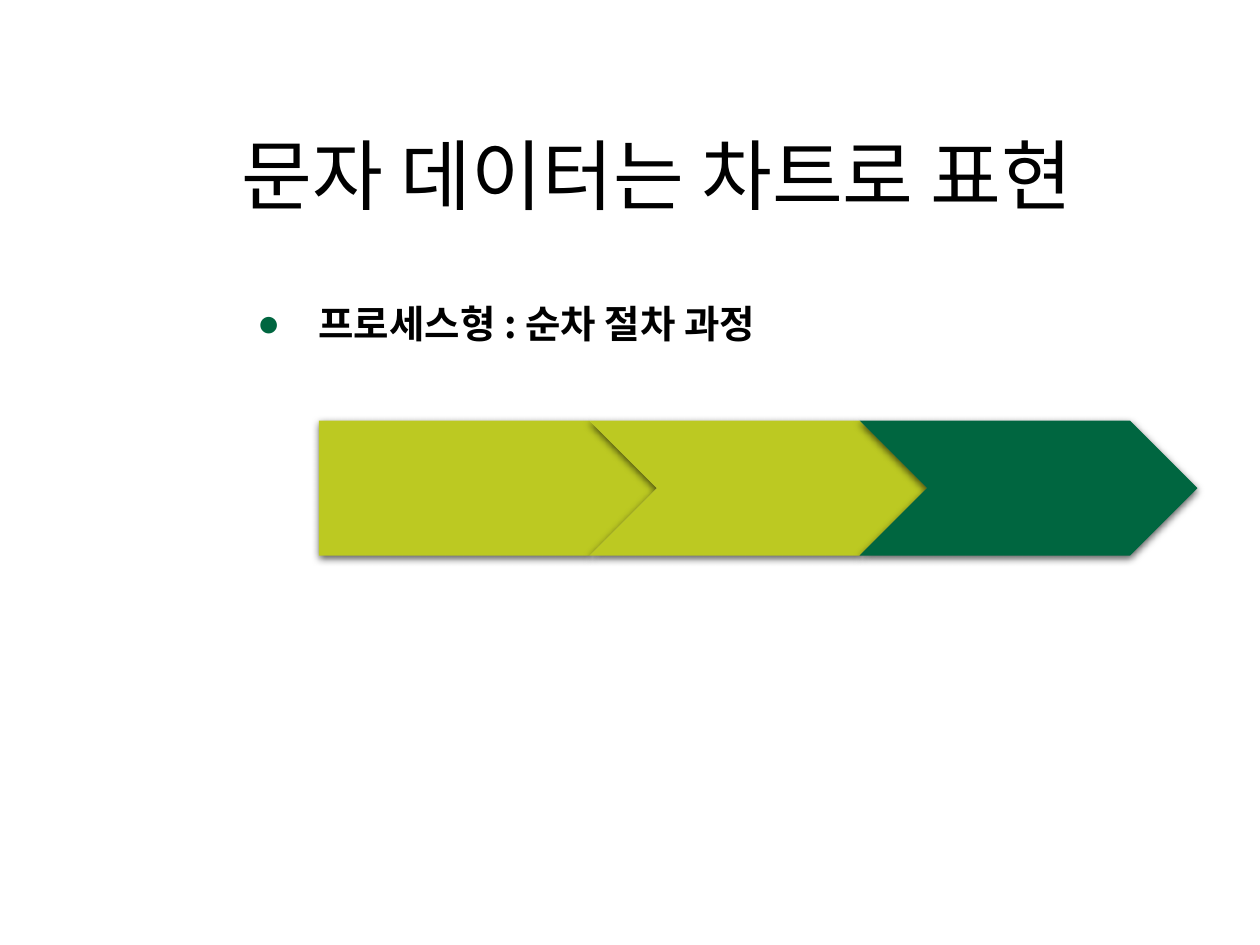
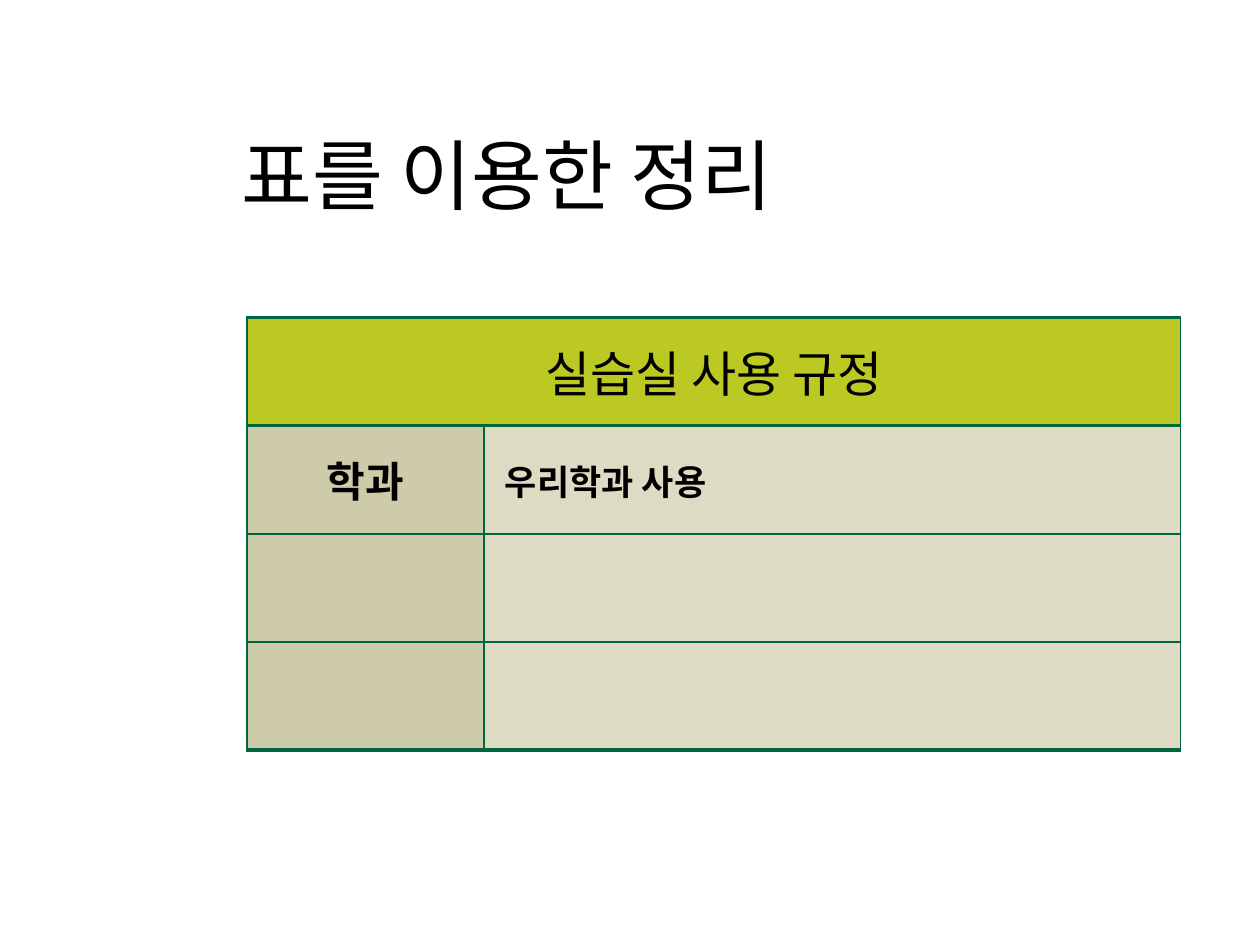
import dataclasses
import typing

import lxml.etree
import pptx
import pptx.dml.color
import pptx.enum.shapes
import pptx.enum.text
import pptx.oxml
import pptx.oxml.ns
import pptx.util

Cm = pptx.util.Cm
Pt = pptx.util.Pt
ALIGN = pptx.enum.text.PP_ALIGN
ANCHOR = pptx.enum.text.MSO_ANCHOR
SHAPE = pptx.enum.shapes.MSO_SHAPE
qn = pptx.oxml.ns.qn

COLORS = {
    "text": "000000",
    "lime": "BCC922",
    "green": "006640",
    "label": "CECBAA",
    "entry": "DDDBC4",
}
FONT = "Noto Sans CJK KR"
TITLE_AREA = {"left": Cm(4.62), "top": Cm(0.91), "width": Cm(19.91), "height": Cm(3.68)}
BODY_AREA = {"left": Cm(4.93), "top": Cm(5.46), "width": Cm(19.91), "height": Cm(12.09)}
TITLE_LAYOUT, LIST_LAYOUT = 5, 1
THIN, THICK = 1, 2.25


@dataclasses.dataclass(frozen=True)
class Step:
    outline: SHAPE
    color: str


@dataclasses.dataclass(frozen=True)
class Entry:
    text: str
    color: str
    size: float = 18
    bold: bool = False
    align: ALIGN = ALIGN.LEFT
    indent: float = 0.25


STEPS = [
    Step(SHAPE.PENTAGON, "lime"),
    Step(SHAPE.CHEVRON, "lime"),
    Step(SHAPE.CHEVRON, "green"),
]
HEADING = Entry("실습실 사용 규정", "lime", 28, align=ALIGN.CENTER)
BLANK_ROW = [Entry("", "label"), Entry("", "entry")]
RULES = [
    [HEADING, Entry("", "lime")],
    [
        Entry("학과", "label", 24, True, ALIGN.CENTER),
        Entry("우리학과 사용", "entry", 20, True, indent=0.42),
    ],
    BLANK_ROW,
    BLANK_ROW,
]


def set_format(target: typing.Any, values: dict[str, typing.Any]) -> None:
    for name, value in values.items():
        setattr(target, name, value)


def rgb(color: str) -> pptx.dml.color.RGBColor:
    return pptx.dml.color.RGBColor.from_string(COLORS[color])


def paint(target: typing.Any, color: str) -> None:
    target.fill.solid()
    target.fill.fore_color.rgb = rgb(color)


def write(para: typing.Any, text: str, size: float, bold: bool = False) -> None:
    span = para.add_run()
    span.text = text
    set_format(span.font, {"name": FONT, "size": Pt(size), "bold": bold})
    span.font.color.rgb = rgb("text")
    east_asian = lxml.etree.SubElement(span.font._element, qn("a:ea"))
    east_asian.set("typeface", FONT)


def add_page(deck: typing.Any, layout: int, title: str) -> typing.Any:
    page = deck.slides.add_slide(deck.slide_layouts[layout])
    box = page.shapes.title
    set_format(box, TITLE_AREA)
    set_format(box.text_frame, {
        "vertical_anchor": ANCHOR.BOTTOM,
        "auto_size": pptx.enum.text.MSO_AUTO_SIZE.NONE,
    })
    para = box.text_frame.paragraphs[0]
    set_format(para, {"alignment": ALIGN.LEFT, "line_spacing": 0.9})
    write(para, title, 44)
    return page


def add_bullet(para: typing.Any) -> None:
    properties = para._p.get_or_add_pPr()
    properties.set("marL", str(Cm(1.24)))
    properties.set("indent", str(-Cm(1.24)))
    color = lxml.etree.SubElement(properties, qn("a:buClr"))
    lxml.etree.SubElement(color, qn("a:srgbClr")).set("val", COLORS["green"])
    lxml.etree.SubElement(properties, qn("a:buChar")).set("char", "●")


def add_shadow(shape: typing.Any) -> None:
    """Give the shape a soft shadow that falls straight down."""
    shape.shadow.inherit = False
    effects = shape._element.spPr.find(qn("a:effectLst"))
    shadow = lxml.etree.SubElement(effects, qn("a:outerShdw"))
    values = {"blurRad": Pt(4.5), "dist": Pt(1.5), "dir": 90 * 60000, "rotWithShape": 0}
    for name, value in values.items():
        shadow.set(name, str(value))
    color = lxml.etree.SubElement(shadow, qn("a:srgbClr"))
    color.set("val", COLORS["text"])
    lxml.etree.SubElement(color, qn("a:alpha")).set("val", "63000")


def add_process(page: typing.Any) -> None:
    left, top, width, height, pitch = 6.43, 8.48, 6.81, 2.72, 5.45
    group = page.shapes.add_group_shape()
    for index, step in enumerate(STEPS):
        arrow = group.shapes.add_shape(
            step.outline, Cm(left + index * pitch), Cm(top), Cm(width), Cm(height))
        paint(arrow, step.color)
        arrow.line.fill.background()
        add_shadow(arrow)


def add_border(cell: typing.Any, side: str, width: float) -> None:
    line = lxml.etree.SubElement(cell._tc.get_or_add_tcPr(), qn(f"a:ln{side}"))
    line.set("w", str(Pt(width)))
    fill = lxml.etree.SubElement(line, qn("a:solidFill"))
    lxml.etree.SubElement(fill, qn("a:srgbClr")).set("val", COLORS["green"])


def fill_cell(cell: typing.Any, entry: Entry, top: float, bottom: float) -> None:
    for side, width in {"L": THIN, "R": THIN, "T": top, "B": bottom}.items():
        add_border(cell, side, width)
    paint(cell, entry.color)
    set_format(cell, {
        "vertical_anchor": ANCHOR.MIDDLE,
        "margin_left": Cm(entry.indent),
    })
    para = cell.text_frame.paragraphs[0]
    para.alignment = entry.align
    if entry.text:
        write(para, entry.text, entry.size, entry.bold)


def add_rules_table(page: typing.Any) -> None:
    widths, row_height = [4.78, 14.04], 2.18
    frame = page.shapes.add_table(
        len(RULES), len(widths), Cm(4.98), Cm(6.4),
        Cm(sum(widths)), Cm(row_height * len(RULES)))
    table = frame.table
    set_format(table, {"first_row": False, "horz_banding": False})
    for column, width in zip(table.columns, widths):
        column.width = Cm(width)
    table.cell(0, 0).merge(table.cell(0, len(widths) - 1))
    last = len(RULES) - 1
    for row, entries in enumerate(RULES):
        top = THICK if row <= 1 else THIN
        bottom = THICK if row in (0, last) else THIN
        for column, entry in enumerate(entries):
            fill_cell(table.cell(row, column), entry, top, bottom)


def build_process_page(deck: typing.Any) -> None:
    page = add_page(deck, LIST_LAYOUT, "문자 데이터는 차트로 표현")
    body = page.placeholders[1]
    set_format(body, BODY_AREA)
    para = body.text_frame.paragraphs[0]
    set_format(para, {"line_spacing": 1.5, "space_before": Pt(10)})
    add_bullet(para)
    write(para, "프로세스형 : 순차 절차 과정", 22, True)
    add_process(page)


def build_table_page(deck: typing.Any) -> None:
    page = add_page(deck, TITLE_LAYOUT, "표를 이용한 정리")
    add_rules_table(page)


def main() -> None:
    deck = pptx.Presentation()
    set_format(deck, {"slide_width": Cm(25.4), "slide_height": Cm(19.05)})
    build_process_page(deck)
    build_table_page(deck)
    deck.save("out.pptx")


if __name__ == "__main__":
    main()
